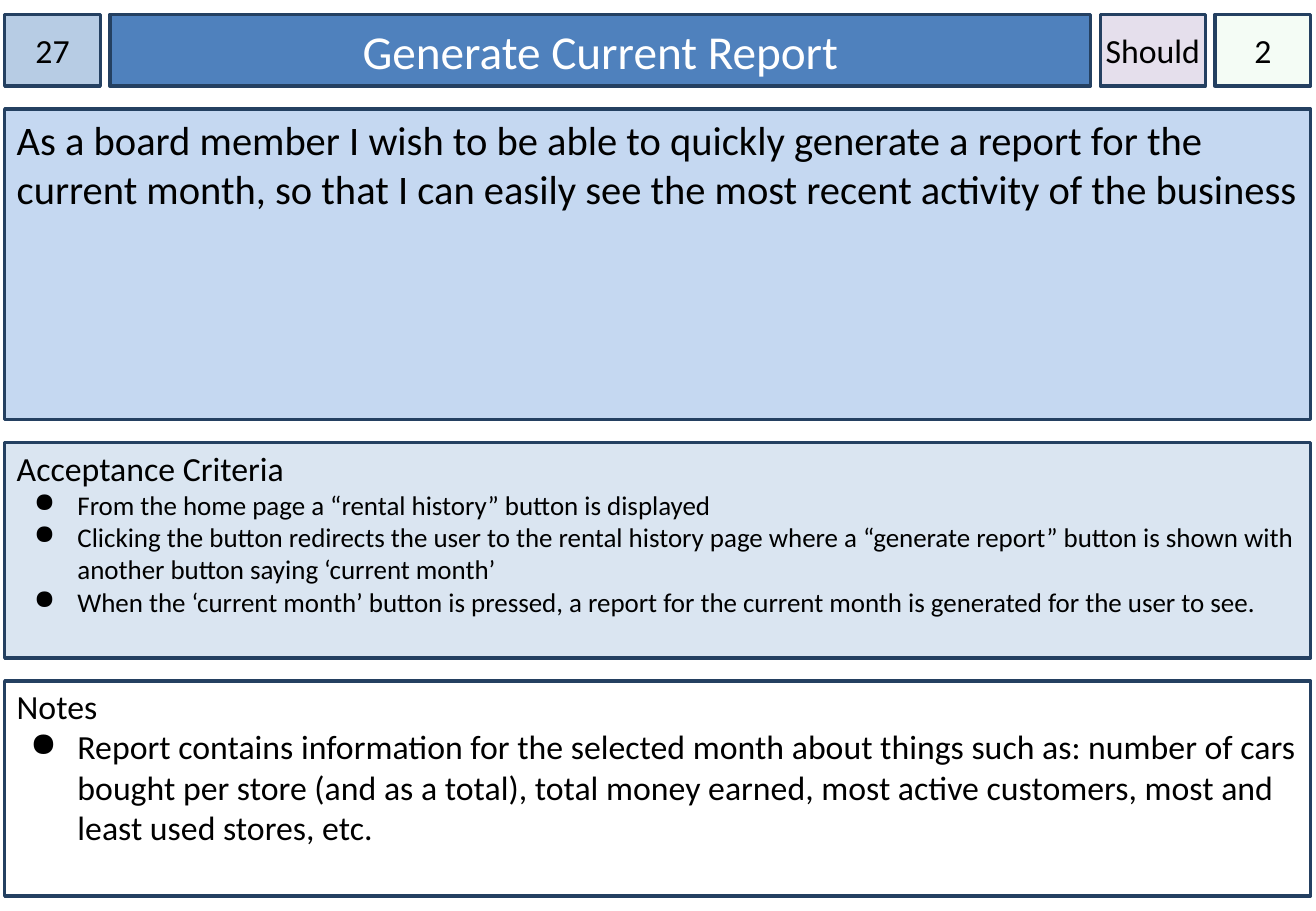
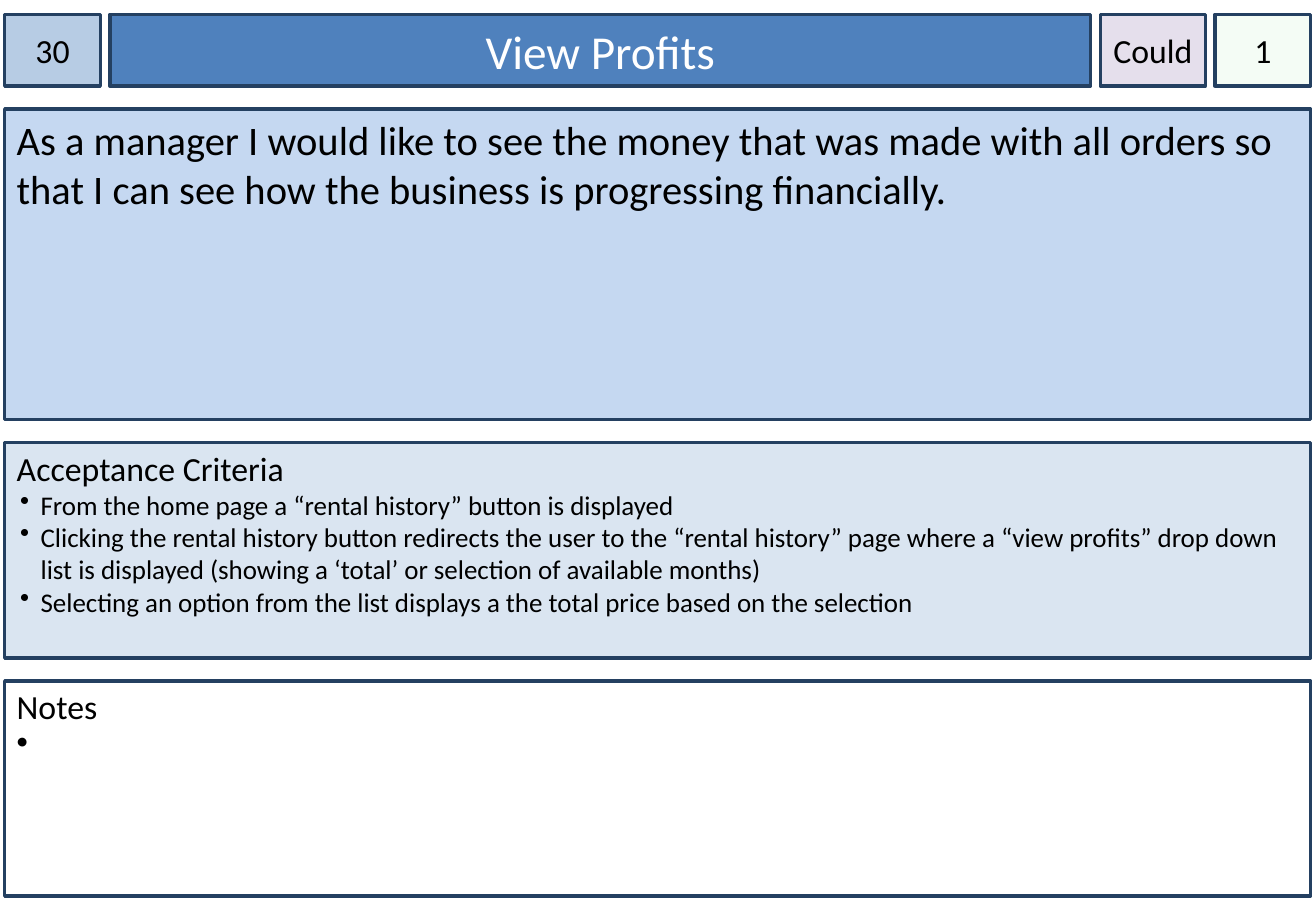
from dataclasses import dataclass

from lxml.etree import SubElement
from pptx import Presentation
from pptx.dml.color import RGBColor
from pptx.enum.shapes import MSO_SHAPE
from pptx.enum.text import MSO_ANCHOR, PP_ALIGN
from pptx.oxml.ns import qn
from pptx.util import Cm, Pt

FONT = "Calibri"
BLACK = RGBColor(0x00, 0x00, 0x00)
WHITE = RGBColor(0xFF, 0xFF, 0xFF)
OUTLINE = RGBColor(0x24, 0x40, 0x61)
NUMBER_FILL = RGBColor(0xB7, 0xCC, 0xE4)
TITLE_FILL = RGBColor(0x4F, 0x81, 0xBD)
PRIORITY_FILL = RGBColor(0xE5, 0xDF, 0xEC)
ESTIMATE_FILL = RGBColor(0xCC, 0xF0, 0xCD)
STORY_FILL = RGBColor(0xC5, 0xD8, 0xF1)
CRITERIA_FILL = RGBColor(0xDA, 0xE5, 0xF1)

# Card layout in centimetres
PAGE_WIDTH, PAGE_HEIGHT = 27.51, 19.05
LEFT, TOP, CARD_WIDTH = 0.1, 0.3, 27.3
HEADER_HEIGHT, STORY_HEIGHT, LIST_HEIGHT = 1.5, 6.5, 4.5
COLUMN_GAP, ROW_GAP = 0.2, 0.48


@dataclass
class Bullet:
    sign: str
    indent: float
    criteria_hang: float
    remarks_hang: float


@dataclass
class Story:
    number: str
    title: str
    priority: str
    estimate: str
    text: str
    criteria: list
    remarks: list
    bullet: Bullet


STORIES = [
    Story(
        "27", "Generate Current Report", "Should", "2",
        "As a board member I wish to be able to quickly generate a report for the "
        "current month, so that I can easily see the most recent activity of the business",
        [
            "From the home page a “rental history” button is displayed",
            "Clicking the button redirects the user to the rental history page where a "
            "“generate report” button is shown with another button saying ‘current month’",
            "When the ‘current month’ button is pressed, a report for the current month "
            "is generated for the user to see.",
        ],
        [
            "Report contains information for the selected month about things such as: "
            "number of cars bought per store (and as a total), total money earned, most "
            "active customers, most and least used stores, etc.",
        ],
        Bullet("●", 1.27, 0.91, 0.99),
    ),
    Story(
        "30", "View Profits", "Could", "1",
        "As a manager I would like to see the money that was made with all orders so "
        "that I can see how the business is progressing financially.",
        [
            "From the home page a “rental history” button is displayed",
            "Clicking the rental history button redirects the user to the “rental history” "
            "page where a “view profits” drop down list is displayed (showing a ‘total’ or "
            "selection of available months)",
            "Selecting an option from the list displays a the total price based on the selection",
        ],
        [" "],  # an open bullet, still to be filled in
        Bullet("•", 0.5, 0.43, 0.5),
    ),
]


def add_panel(page, left, top, width, height, fill, anchor=MSO_ANCHOR.TOP,
              side_inset=0.25, top_inset=0.13):
    """Add an outlined rectangle that is ready for text."""
    panel = page.shapes.add_shape(
        MSO_SHAPE.RECTANGLE, Cm(left), Cm(top), Cm(width), Cm(height))
    panel.shadow.inherit = False
    panel.fill.solid()
    panel.fill.fore_color.rgb = fill
    panel.line.color.rgb = OUTLINE
    panel.line.width = Pt(2)
    frame = panel.text_frame
    frame.word_wrap = True
    frame.vertical_anchor = anchor
    frame.margin_left = frame.margin_right = Cm(side_inset)
    frame.margin_top, frame.margin_bottom = Cm(top_inset), Cm(0.13)
    return panel


def write(para, text, size, color=BLACK, align=PP_ALIGN.LEFT):
    para.text = text
    para.alignment = align
    para.font.name = FONT
    para.font.size = Pt(size)
    para.font.color.rgb = color


def add_bullet(para, sign, indent, hang):
    properties = para._p.get_or_add_pPr()
    properties.set("marL", str(Cm(indent)))
    properties.set("indent", str(-Cm(hang)))
    color = SubElement(properties, qn("a:buClr"))
    SubElement(color, qn("a:srgbClr"), val=str(BLACK))
    SubElement(properties, qn("a:buChar"), char=sign)


def set_opacity(panel, percent):
    color = next(panel.element.spPr.iter(qn("a:srgbClr")))
    SubElement(color, qn("a:alpha"), val=str(percent * 1000))


def add_header(page, left, top, story):
    """Row of number, title, priority and estimate."""
    cells = [
        (story.number, 2, NUMBER_FILL, 20, BLACK, 0),
        (story.title, 20.5, TITLE_FILL, 28, WHITE, 0.25),
        (story.priority, 2.2, PRIORITY_FILL, 20, BLACK, 0),
        (story.estimate, 2, ESTIMATE_FILL, 20, BLACK, 0),
    ]
    for text, width, fill, size, color, inset in cells:
        panel = add_panel(page, left, top, width, HEADER_HEIGHT, fill,
                          MSO_ANCHOR.MIDDLE, inset)
        write(panel.text_frame.paragraphs[0], text, size, color, PP_ALIGN.CENTER)
        if fill == ESTIMATE_FILL:
            set_opacity(panel, 20)
        left += width + COLUMN_GAP


def add_story_text(page, left, top, text):
    panel = add_panel(page, left, top, CARD_WIDTH, STORY_HEIGHT, STORY_FILL)
    write(panel.text_frame.paragraphs[0], text, 24)


def add_list(page, left, top, heading, items, fill, size, bullet, hang):
    """Heading followed by bulleted items."""
    panel = add_panel(page, left, top, CARD_WIDTH, LIST_HEIGHT, fill, top_inset=0.1)
    frame = panel.text_frame
    write(frame.paragraphs[0], heading, 20)
    for item in items:
        para = frame.add_paragraph()
        add_bullet(para, bullet.sign, bullet.indent, hang)
        write(para, item, size)


def add_card(deck, story):
    page = deck.slides.add_slide(deck.slide_layouts[6])
    story_top = TOP + HEADER_HEIGHT + ROW_GAP
    criteria_top = story_top + STORY_HEIGHT + ROW_GAP
    remarks_top = criteria_top + LIST_HEIGHT + ROW_GAP
    bullet = story.bullet
    add_header(page, LEFT, TOP, story)
    add_story_text(page, LEFT, story_top, story.text)
    add_list(page, LEFT, criteria_top, "Acceptance Criteria", story.criteria,
             CRITERIA_FILL, 16, bullet, bullet.criteria_hang)
    add_list(page, LEFT, remarks_top, "Notes", story.remarks,
             WHITE, 20, bullet, bullet.remarks_hang)


def main():
    deck = Presentation()
    deck.slide_width, deck.slide_height = Cm(PAGE_WIDTH), Cm(PAGE_HEIGHT)
    for story in STORIES:
        add_card(deck, story)
    deck.save("out.pptx")


if __name__ == "__main__":
    main()
